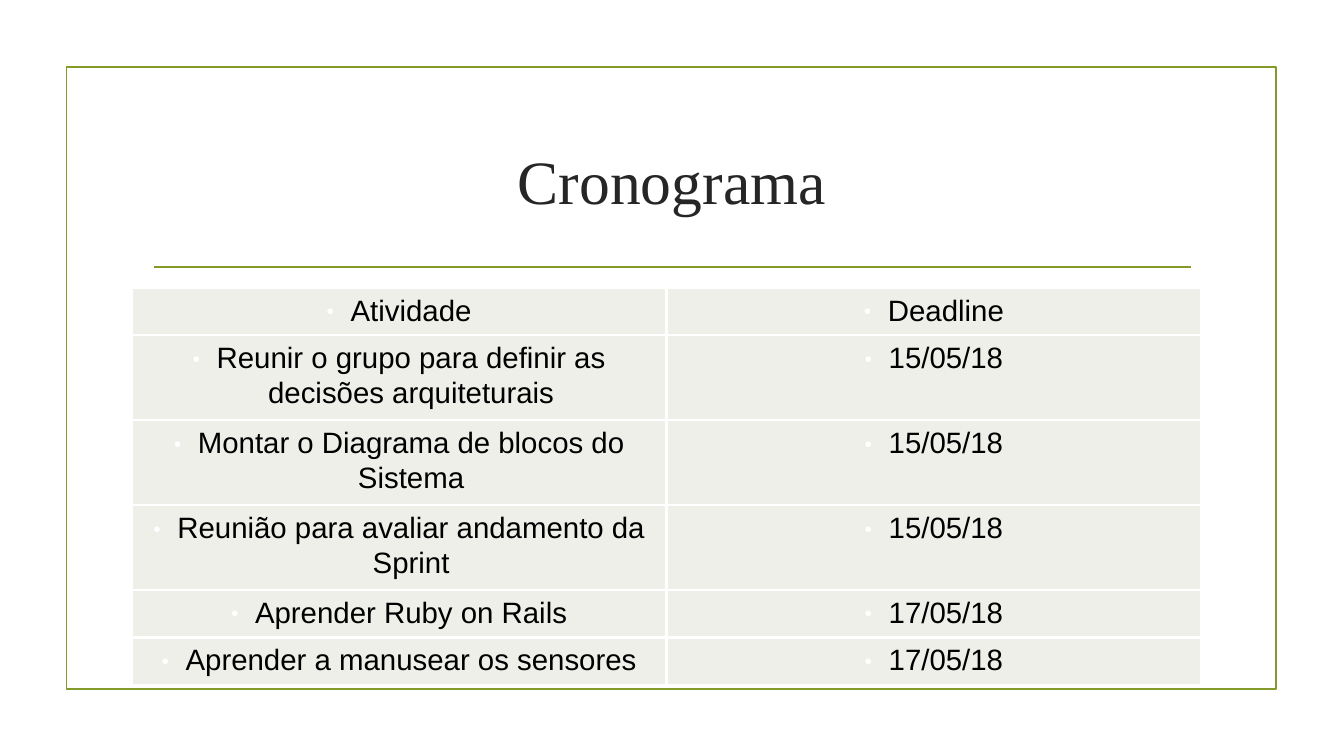
from lxml import etree
from pptx import Presentation
from pptx.dml.color import RGBColor
from pptx.enum.shapes import MSO_CONNECTOR, MSO_SHAPE
from pptx.enum.text import MSO_ANCHOR, PP_ALIGN
from pptx.oxml.ns import qn
from pptx.util import Pt

COLORS = {
    "olive": "83992A",
    "title": "262626",
    "text": "000000",
    "cell": "EDEFE8",
    "white": "FFFFFF",
}
ROWS = [
    ("Atividade", "Deadline"),
    ("Reunir o grupo para definir as decisões arquiteturais", "15/05/18"),
    ("Montar o Diagrama de blocos do Sistema", "15/05/18"),
    ("Reunião para avaliar andamento da Sprint", "15/05/18"),
    ("Aprender Ruby on Rails", "17/05/18"),
    ("Aprender a manusear os sensores", "17/05/18"),
]
ROW_HEIGHTS = [30.25, 60.5, 60.5, 60.5, 30.25, 30.25]
COLUMN_WIDTH = 382


def format_text(para, size, font_name, color):
    para.alignment = PP_ALIGN.CENTER
    for span in para.runs:
        span.font.size = Pt(size)
        span.font.name = font_name
        span.font.bold = False
        span.font.color.rgb = RGBColor.from_string(COLORS[color])


def add_color(parent, color):
    fill = etree.SubElement(parent, qn("a:solidFill"))
    etree.SubElement(fill, qn("a:srgbClr"), val=COLORS[color])


deck = Presentation()
deck.slide_width, deck.slide_height = Pt(960), Pt(540)
page = deck.slides.add_slide(deck.slide_layouts[6])

# Frame
frame = page.shapes.add_shape(MSO_SHAPE.RECTANGLE, Pt(47.5), Pt(48), Pt(864), Pt(444))
frame.shadow.inherit = False
frame.fill.background()

# Rule under the title
rule = page.shapes.add_connector(MSO_CONNECTOR.STRAIGHT, Pt(110), Pt(190.8), Pt(851), Pt(190.8))
etree.SubElement(rule._element.spPr, qn("a:effectLst"))
for outline in (frame.line, rule.line):
    outline.color.rgb = RGBColor.from_string(COLORS["olive"])
    outline.width = Pt(1.25)

# Title
title = page.shapes.add_textbox(Pt(102), Pt(77), Pt(756), Pt(103))
title.text_frame.word_wrap = True
title.text_frame.vertical_anchor = MSO_ANCHOR.MIDDLE
title.text_frame.text = "Cronograma"
format_text(title.text_frame.paragraphs[0], 44, "Times New Roman", "title")

# Schedule table
schedule = page.shapes.add_table(
    len(ROWS), 2, Pt(94), Pt(205.5), Pt(2 * COLUMN_WIDTH), Pt(sum(ROW_HEIGHTS))
).table
schedule.first_row = False
schedule.horz_banding = False
for column in schedule.columns:
    column.width = Pt(COLUMN_WIDTH)

for row, height, texts in zip(schedule.rows, ROW_HEIGHTS, ROWS):
    row.height = Pt(height)
    for cell, text in zip(row.cells, texts):
        cell.margin_left = cell.margin_right = Pt(10)
        cell.margin_top = cell.margin_bottom = Pt(3.6)

        # Borders come before the fill in the cell properties
        properties = cell._tc.get_or_add_tcPr()
        for side in ("lnL", "lnR", "lnT", "lnB"):
            border = etree.SubElement(properties, qn("a:" + side), w=str(Pt(2)))
            add_color(border, "white")
        cell.fill.solid()
        cell.fill.fore_color.rgb = RGBColor.from_string(COLORS["cell"])

        # Bulleted, centred text
        cell.text_frame.text = text
        para = cell.text_frame.paragraphs[0]
        bullet = para._p.get_or_add_pPr()
        bullet.set("marL", str(Pt(17.25)))
        bullet.set("indent", str(Pt(-17.25)))
        bullet_color = etree.SubElement(bullet, qn("a:buClr"))
        etree.SubElement(bullet_color, qn("a:srgbClr"), val=COLORS["white"])
        etree.SubElement(bullet, qn("a:buSzPct"), val="45000")
        etree.SubElement(bullet, qn("a:buFont"), typeface="Arial")
        etree.SubElement(bullet, qn("a:buChar"), char="●")
        para.line_spacing = 1.06
        format_text(para, 21, "Arial", "text")

deck.save("out.pptx")
